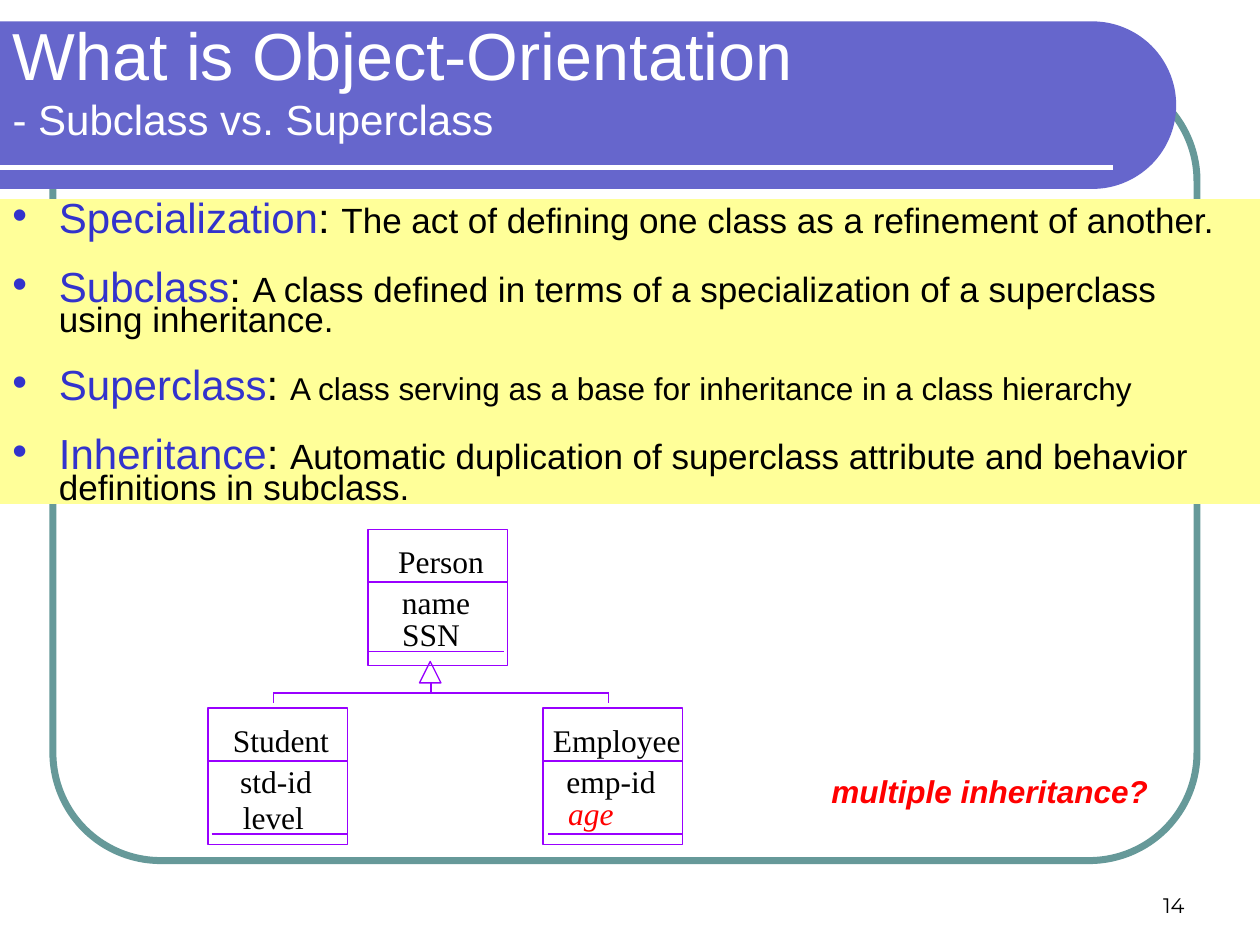
import math
from dataclasses import dataclass

import lxml.etree
import pptx
import pptx.dml.color
import pptx.enum.shapes
import pptx.enum.text
import pptx.oxml.ns
import pptx.util

Inches = pptx.util.Inches
Pt = pptx.util.Pt
RGBColor = pptx.dml.color.RGBColor
Shape = pptx.enum.shapes.MSO_SHAPE
Align = pptx.enum.text.PP_ALIGN
Anchor = pptx.enum.text.MSO_ANCHOR
qn = pptx.oxml.ns.qn

WHITE = RGBColor(0xFF, 0xFF, 0xFF)
BLACK = RGBColor(0, 0, 0)
RED = RGBColor(0xFF, 0, 0)
TEAL = RGBColor(0x66, 0x99, 0x99)
HEADER_BLUE = RGBColor(0x66, 0x66, 0xCC)
TERM_BLUE = RGBColor(0x33, 0x33, 0xCC)
YELLOW = RGBColor(0xFF, 0xFF, 0x99)
PURPLE = RGBColor(0x99, 0, 0xFF)


@dataclass(frozen=True)
class Style:
    size: float
    color: RGBColor = BLACK
    name: str = "Arial"
    bold: bool = False
    italic: bool = False


@dataclass(frozen=True)
class Definition:
    term: str
    meaning: str
    size: float = 20


@dataclass(frozen=True)
class Label:
    text: str
    left: float
    top: float
    width: float
    style: Style = Style(18, name="Times New Roman")


@dataclass(frozen=True)
class ClassBox:
    left: float
    top: float
    rule_start: float
    rule_end: float
    rule_top: float
    labels: tuple[Label, ...]


AGE_STYLE = Style(18, RED, "Times New Roman", italic=True)
DEFINITIONS = [
    Definition("Specialization", "The act of defining one class as a refinement of another."),
    Definition("Subclass", "A class defined in terms of a specialization of a superclass using inheritance."),
    Definition("Superclass", "A class serving as a base for inheritance in a class hierarchy", 18),
    Definition("Inheritance", "Automatic duplication of superclass attribute and behavior "
               "definitions in subclass."),
]
CLASSES = [
    ClassBox(2.92, 4.2, 2.92, 4, 5.17, (
        Label("Person", 3.06, 4.25, 0.88), Label("name", 2.92, 4.58, 1.08),
        Label("SSN", 3.09, 4.83, 0.66))),
    ClassBox(1.65, 5.62, 1.68, 2.76, 6.62, (
        Label("Student", 1.75, 5.67, 0.96), Label("std-id", 1.65, 6, 1.08),
        Label("level", 1.83, 6.28, 0.68))),
    ClassBox(4.31, 5.62, 4.35, 5.42, 6.62, (
        Label("Employee", 4.29, 5.67, 1.21), Label("emp-id", 4.31, 6, 1.08),
        Label("age", 4.41, 6.25, 0.56, AGE_STYLE))),
]


def add_span(para, text: str, style: Style) -> None:
    span = para.add_run()
    span.text = text
    font = span.font
    font.size, font.name = Pt(style.size), style.name
    font.bold, font.italic = style.bold, style.italic
    font.color.rgb = style.color


def add_text(page, label: Label, align=Align.CENTER, anchor=Anchor.MIDDLE,
             height: float = 0.4, side_margin: float = 0) -> None:
    """Add one line of text; without side margins it always has room to stay unbroken."""
    box = page.shapes.add_textbox(*map(Inches, (label.left, label.top, label.width, height)))
    frame = box.text_frame
    frame.word_wrap = False
    frame.margin_left = frame.margin_right = Inches(side_margin)
    frame.vertical_anchor = anchor
    frame.paragraphs[0].alignment = align
    add_span(frame.paragraphs[0], label.text, label.style)


def paint(shape, fill: RGBColor | None = None, line: RGBColor | None = None, weight: float = 0.75) -> None:
    shape.shadow.inherit = False
    if fill is None:
        shape.fill.background()
    else:
        shape.fill.solid()
        shape.fill.fore_color.rgb = fill
    if line is None:
        shape.line.fill.background()
    else:
        shape.line.color.rgb = line
        shape.line.width = Pt(weight)


def add_shape(page, kind, left: float, top: float, width: float, height: float):
    return page.shapes.add_shape(kind, *map(Inches, (left, top, width, height)))


def add_line(page, x1: float, y1: float, x2: float, y2: float,
             color: RGBColor = PURPLE, weight: float = 0.75) -> None:
    line = page.shapes.add_connector(pptx.enum.shapes.MSO_CONNECTOR.STRAIGHT,
                                     *map(Inches, (x1, y1, x2, y2)))
    line.line.color.rgb = color
    line.line.width = Pt(weight)
    lxml.etree.SubElement(line.element.spPr, qn("a:effectLst"))


def add_background(page) -> None:
    """Draw the rounded frame and the header band with its rule."""
    frame = add_shape(page, Shape.ROUNDED_RECTANGLE, 0.42, 0.58, 9.08, 6.25)
    frame.adjustments[0] = 0.137
    paint(frame, line=TEAL, weight=4)

    top, bottom, center = Inches(0.17), Inches(1.5), Inches(8.67)
    radius, middle = (bottom - top) / 2, (top + bottom) / 2
    angles = [math.radians(degree) for degree in range(-90, 91, 3)]
    arc = [(center + radius * math.cos(a), middle + radius * math.sin(a)) for a in angles]
    builder = page.shapes.build_freeform(0, top)
    builder.add_line_segments(arc + [(0, bottom)], close=True)
    paint(builder.convert_to_shape(), fill=HEADER_BLUE)
    add_line(page, 0, 1.33, 8.83, 1.33, WHITE, 3)


def add_title(page) -> None:
    title = page.shapes.title
    title.left, title.top, title.width, title.height = map(Inches, (0, 0, 8, 1.25))
    # The placeholder comes first in the tree, so raise it above the header band.
    title.element.getparent().append(title.element)
    frame = title.text_frame
    frame.auto_size = pptx.enum.text.MSO_AUTO_SIZE.NONE
    frame.vertical_anchor = Anchor.MIDDLE
    heading, subtitle = frame.paragraphs[0], frame.add_paragraph()
    add_span(heading, "What is Object-Orientation", Style(38, WHITE))
    add_span(subtitle, "- Subclass vs. Superclass", Style(24, WHITE))
    for para in (heading, subtitle):
        para.alignment = Align.LEFT
        para.space_before = Pt(0)


def add_bullet(para, color: RGBColor) -> None:
    properties = para._p.get_or_add_pPr()
    properties.set("marL", str(Inches(0.37)))
    properties.set("indent", str(-Inches(0.37)))
    bullet_color = lxml.etree.SubElement(properties, qn("a:buClr"))
    lxml.etree.SubElement(bullet_color, qn("a:srgbClr"), val=str(color))
    lxml.etree.SubElement(properties, qn("a:buFont"), typeface="Arial")
    lxml.etree.SubElement(properties, qn("a:buChar"), char="•")


def add_definitions(page) -> None:
    panel = add_shape(page, Shape.RECTANGLE, 0, 1.58, 10, 2.42)
    paint(panel, fill=YELLOW)
    frame = panel.text_frame
    frame.word_wrap = True
    frame.vertical_anchor = Anchor.TOP
    for index, definition in enumerate(DEFINITIONS):
        para = frame.add_paragraph() if index else frame.paragraphs[0]
        para.alignment = Align.LEFT
        para.line_spacing = 0.7
        para.space_before = Pt(19.2 if index else 2.5)
        add_bullet(para, TERM_BLUE)
        add_span(para, definition.term, Style(24, TERM_BLUE))
        add_span(para, ": ", Style(24))
        add_span(para, definition.meaning, Style(definition.size))


def add_class(page, item: ClassBox) -> None:
    width, height, name_height = 1.11, 1.08, 0.42
    for label in item.labels:
        add_text(page, label)
    paint(add_shape(page, Shape.RECTANGLE, item.left, item.top, width, height), line=PURPLE)
    divider = item.top + name_height
    add_line(page, item.left, divider, item.left + width, divider)
    add_line(page, item.rule_start, item.rule_top, item.rule_end, item.rule_top)


def add_inheritance(page) -> None:
    left, right, stem, level = 2.17, 4.83, 3.42, 5.5
    add_line(page, left, level, right, level)
    for x in (left, right):
        add_line(page, x, level, x, level + 0.08)
    add_line(page, stem, level - 0.08, stem, level)
    paint(add_shape(page, Shape.ISOSCELES_TRIANGLE, 3.33, 5.25, 0.17, 0.17), line=PURPLE)


def main() -> None:
    deck = pptx.Presentation()
    deck.slide_width, deck.slide_height = Inches(10), Inches(7.5)
    page = deck.slides.add_slide(deck.slide_layouts.get_by_name("Title Only"))
    add_background(page)
    add_title(page)
    add_definitions(page)
    add_text(page, Label("multiple inheritance?", 6.5, 6.08, 2.71,
                         Style(18, RED, bold=True, italic=True)), anchor=Anchor.TOP)
    for item in CLASSES:
        add_class(page, item)
    add_inheritance(page)
    add_text(page, Label("14", 7.17, 6.83, 2.33, Style(12, name="Montserrat")),
             Align.RIGHT, Anchor.BOTTOM, 0.5, 0.1)
    deck.save("out.pptx")


if __name__ == "__main__":
    main()
